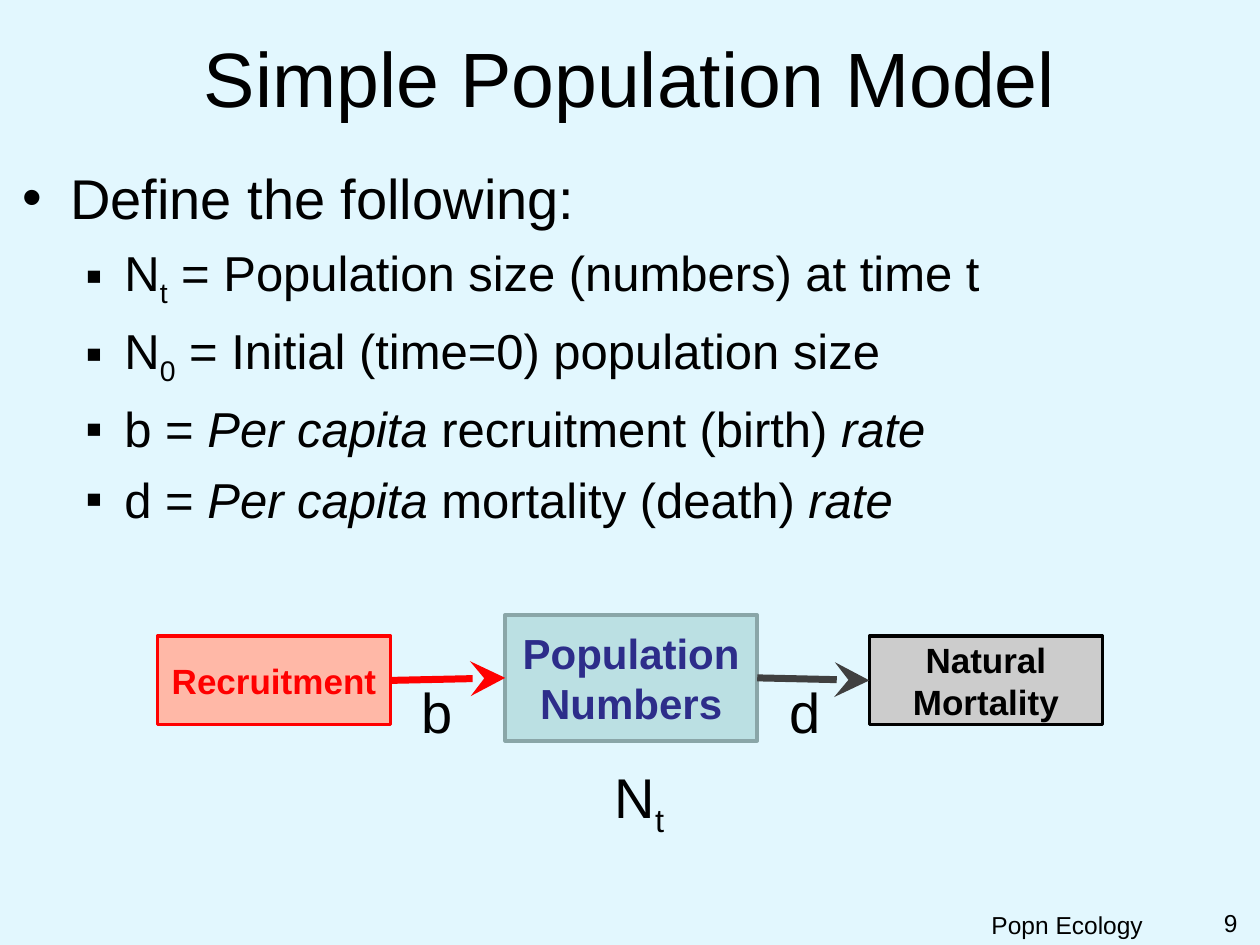
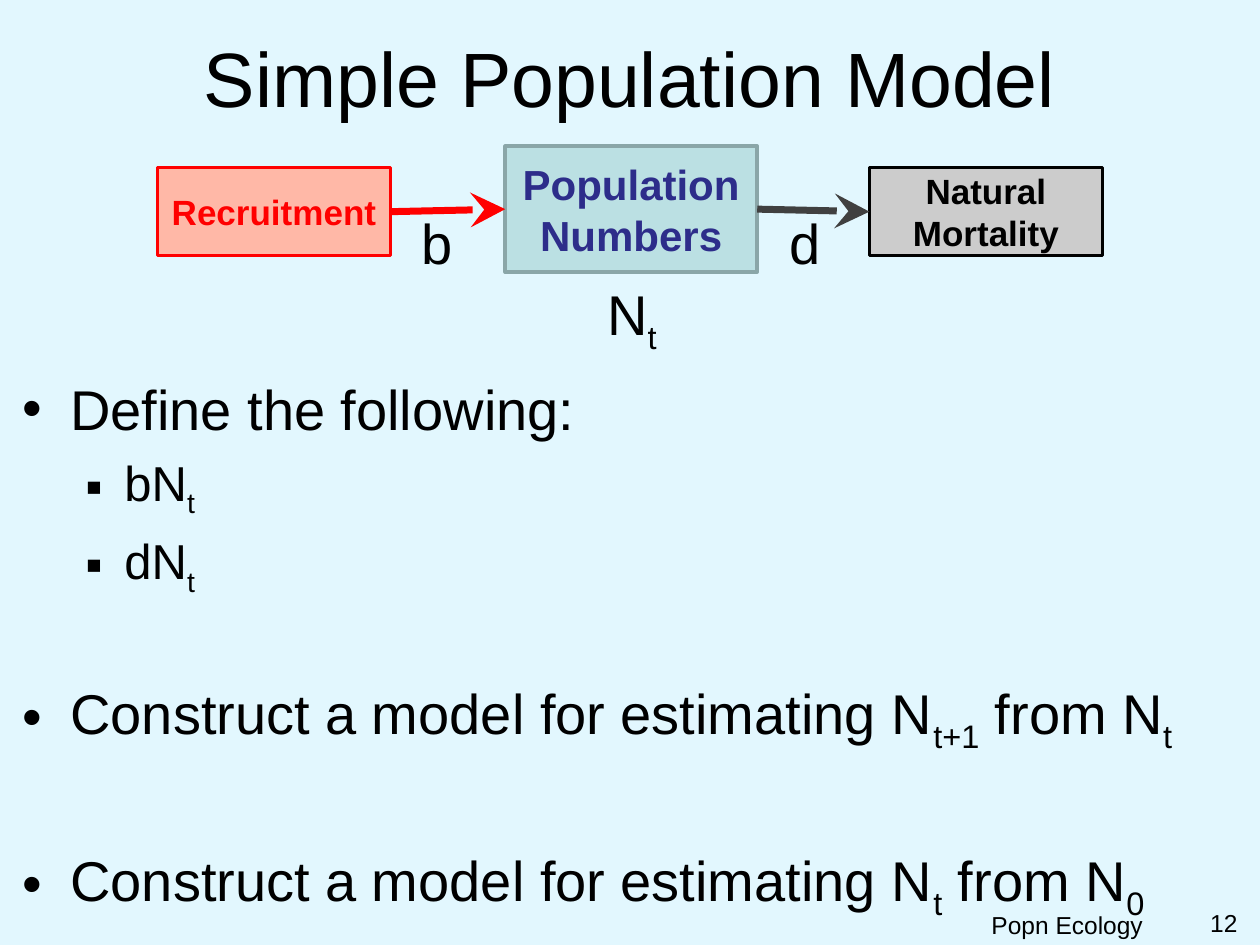
from dataclasses import dataclass
from typing import NamedTuple

from lxml import etree
from pptx import Presentation
from pptx import util as u
from pptx.dml.color import RGBColor
from pptx.enum import shapes, text
from pptx.oxml.ns import qn

PX = 9144  # EMU in one px, 100 px to the inch
FONT = "Arial"

BACKGROUND = RGBColor(0xE2, 0xF7, 0xFE)
BLACK = RGBColor(0x00, 0x00, 0x00)
RED = RGBColor(0xFF, 0x00, 0x00)
PINK = RGBColor(0xFF, 0xB8, 0xA7)
AQUA = RGBColor(0xBB, 0xE0, 0xE3)
AQUA_EDGE = RGBColor(0x8A, 0xA6, 0xA8)
NAVY = RGBColor(0x2D, 0x2D, 0x8A)
GREY = RGBColor(0xCC, 0xCC, 0xCC)
DARK_GREY = RGBColor(0x40, 0x40, 0x40)


class Area(NamedTuple):
    left: int
    top: int
    width: int
    height: int

    def emu(self) -> list[int]:
        return [length * PX for length in self]


class Piece(NamedTuple):
    words: str
    subscript: bool = False
    italic: bool = False


class Level(NamedTuple):
    bullet: str
    margin: int
    hanging: int
    size: int


@dataclass
class Bullet:
    level: Level
    pieces: list[Piece]
    before: float = 6.5


@dataclass
class Box:
    lines: list[str]
    left: int
    offset: int  # below the top of the diagram
    width: int
    height: int
    fill: RGBColor
    edge: RGBColor
    ink: RGBColor
    size: int


@dataclass
class ModelSlide:
    number: str
    bullets: list[Bullet]
    body: Area
    diagram_top: int
    symbol_left: int
    symbol_top: int


MAIN = Level("•", 38, 38, 32)
SUB = Level("▪", 81, 31, 28)
N = Piece("N")
T = Piece("t", subscript=True)
ZERO = Piece("0", subscript=True)
PER_CAPITA = Piece("Per capita ", italic=True)
RATE = Piece("rate", italic=True)
DEFINE = Bullet(MAIN, [Piece("Define the following:")], 0)
CONSTRUCT = Piece("Construct a model for estimating N")
FROM_N = Piece(" from N")

POPULATION = Box(["Population", "Numbers"], 401, 0, 200, 100, AQUA, AQUA_EDGE, NAVY, 24)
RECRUITMENT = Box(["Recruitment"], 125, 17, 185, 70, PINK, RED, RED, 20)
MORTALITY = Box(["Natural Mortality"], 690, 17, 185, 70, GREY, BLACK, BLACK, 20)

MODEL_SLIDES = [
    ModelSlide(
        "9",
        [
            DEFINE,
            Bullet(SUB, [N, T, Piece(" = Population size (numbers) at time t")]),
            Bullet(SUB, [N, ZERO, Piece(" = Initial (time=0) population size")]),
            Bullet(SUB, [Piece("b = "), PER_CAPITA, Piece("recruitment (birth) "), RATE]),
            Bullet(SUB, [Piece("d = "), PER_CAPITA, Piece("mortality (death) "), RATE]),
        ],
        Area(8, 125, 983, 308), 488, 478, 600,
    ),
    ModelSlide(
        "12",
        [
            DEFINE,
            Bullet(SUB, [Piece("bN"), T]),
            Bullet(SUB, [Piece("dN"), T]),
            Bullet(MAIN, [CONSTRUCT, Piece("t+1", subscript=True), FROM_N, T], 46),
            Bullet(MAIN, [CONSTRUCT, T, FROM_N, ZERO], 52),
        ],
        Area(8, 292, 983, 433), 116, 472, 217,
    ),
]


def add_run(paragraph, piece: Piece, size: int, color: RGBColor = BLACK, bold: bool = False) -> None:
    run = paragraph.add_run()
    run.text = piece.words
    font = run.font
    font.name, font.size, font.bold = FONT, u.Pt(size), bold
    font.italic = piece.italic
    font.color.rgb = color
    if piece.subscript:
        run._r.get_or_add_rPr().set("baseline", "-25000")


def add_label(slide, area: Area, pieces: list[Piece], size: int,
              align=text.PP_ALIGN.LEFT, grow: bool = False) -> None:
    frame = slide.shapes.add_textbox(*area.emu()).text_frame
    frame.word_wrap = not grow
    if grow:
        frame.auto_size = text.MSO_AUTO_SIZE.SHAPE_TO_FIT_TEXT
    paragraph = frame.paragraphs[0]
    paragraph.alignment = align
    for piece in pieces:
        add_run(paragraph, piece, size)


def add_title(slide) -> None:
    title = slide.shapes.title
    title.left, title.top, title.width, title.height = Area(7, 13, 986, 95).emu()
    frame = title.text_frame
    frame.vertical_anchor = text.MSO_ANCHOR.MIDDLE
    paragraph = frame.paragraphs[0]
    paragraph.alignment = text.PP_ALIGN.CENTER
    add_run(paragraph, Piece("Simple Population Model"), 44)


def add_bullets(slide, area: Area, bullets: list[Bullet]) -> None:
    frame = slide.shapes.add_textbox(*area.emu()).text_frame
    frame.word_wrap = True
    for index, bullet in enumerate(bullets):
        paragraph = frame.add_paragraph() if index else frame.paragraphs[0]
        level = bullet.level
        properties = paragraph._p.get_or_add_pPr()
        properties.set("marL", str(level.margin * PX))
        properties.set("indent", str(-level.hanging * PX))
        etree.SubElement(properties, qn("a:buFont"), typeface=FONT)
        etree.SubElement(properties, qn("a:buChar"), char=level.bullet)
        paragraph.level = 0 if level is MAIN else 1
        paragraph.space_before = u.Pt(bullet.before)
        for piece in bullet.pieces:
            add_run(paragraph, piece, level.size)


def add_box(slide, box: Box, diagram_top: int):
    area = Area(box.left, diagram_top + box.offset, box.width, box.height)
    shape = slide.shapes.add_shape(shapes.MSO_SHAPE.RECTANGLE, *area.emu())
    shape.shadow.inherit = False
    shape.fill.solid()
    shape.fill.fore_color.rgb = box.fill
    shape.line.color.rgb = box.edge
    shape.line.width = u.Pt(2)
    frame = shape.text_frame
    frame.word_wrap = True
    frame.vertical_anchor = text.MSO_ANCHOR.MIDDLE
    for index, line in enumerate(box.lines):
        paragraph = frame.add_paragraph() if index else frame.paragraphs[0]
        paragraph.alignment = text.PP_ALIGN.CENTER
        add_run(paragraph, Piece(line), box.size, box.ink, bold=True)
    return shape


def add_arrow(slide, source, target, color: RGBColor) -> None:
    """Join the right side of source to the left side of target."""
    arrow = slide.shapes.add_connector(shapes.MSO_CONNECTOR.STRAIGHT, 0, 0, 0, 0)
    arrow.begin_connect(source, 3)
    arrow.end_connect(target, 1)
    arrow.line.color.rgb = color
    arrow.line.width = u.Pt(4)
    etree.SubElement(arrow.line._get_or_add_ln(), qn("a:tailEnd"), type="stealth", w="lg", len="lg")
    etree.SubElement(arrow._element.spPr, qn("a:effectLst"))


def add_diagram(slide, model: ModelSlide) -> None:
    population, recruitment, mortality = (
        add_box(slide, box, model.diagram_top) for box in (POPULATION, RECRUITMENT, MORTALITY)
    )
    add_arrow(slide, recruitment, population, RED)
    add_arrow(slide, population, mortality, DARK_GREY)
    for rate, left in (("b", 325), ("d", 617)):
        add_label(slide, Area(left, model.diagram_top + 45, 45, 64), [Piece(rate)], 32, grow=True)
    add_label(slide, Area(model.symbol_left, model.symbol_top, 61, 64), [N, T], 32, grow=True)


def add_footer(slide, number: str) -> None:
    for words, area in (("Popn Ecology", Area(600, 717, 317, 25)), (number, Area(925, 716, 67, 34))):
        add_label(slide, area, [Piece(words)], 14, text.PP_ALIGN.RIGHT)


def main() -> None:
    presentation = Presentation()
    presentation.slide_width, presentation.slide_height = 1000 * PX, 750 * PX
    background = presentation.slide_master.background.fill
    background.solid()
    background.fore_color.rgb = BACKGROUND
    title_only = presentation.slide_layouts[5]
    for model in MODEL_SLIDES:
        slide = presentation.slides.add_slide(title_only)
        add_title(slide)
        add_bullets(slide, model.body, model.bullets)
        add_footer(slide, model.number)
        add_diagram(slide, model)
    presentation.save("out.pptx")


if __name__ == "__main__":
    main()
